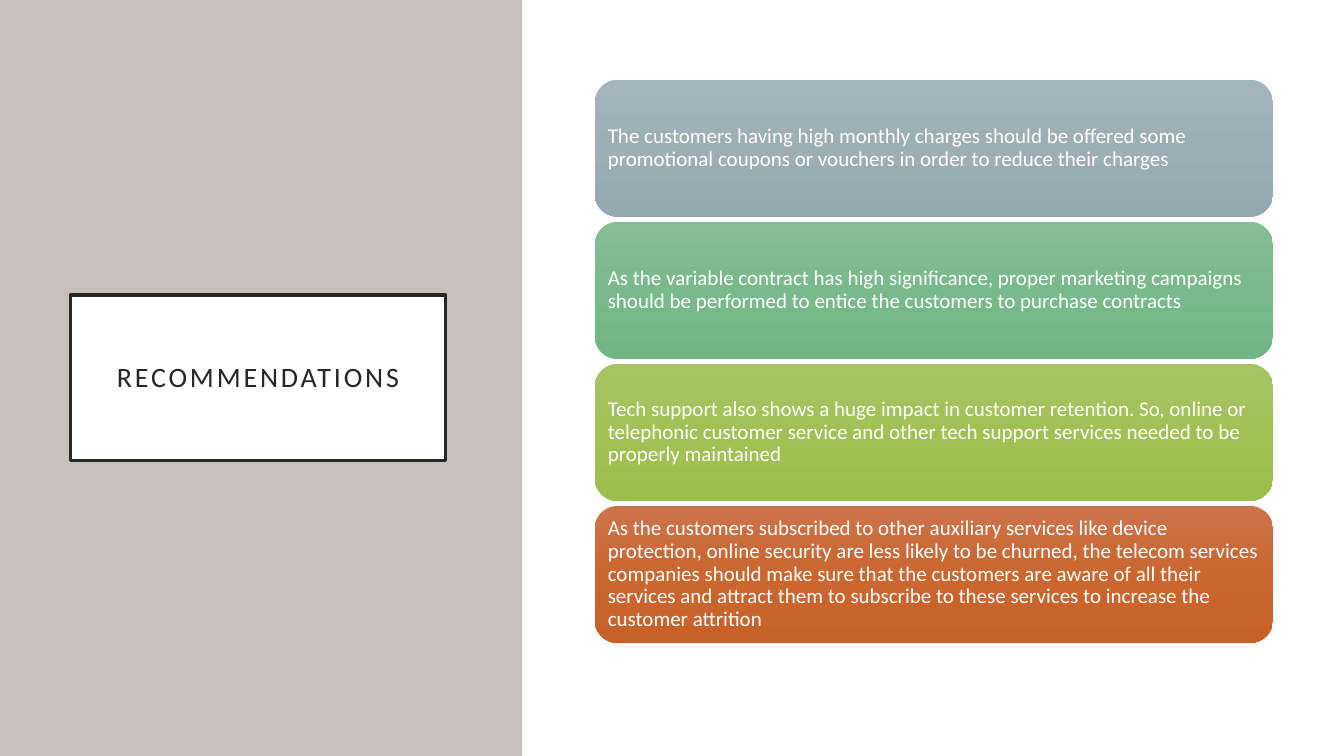
from copy import deepcopy
from dataclasses import dataclass

from pptx import Presentation
from pptx.dml.color import RGBColor
from pptx.enum.shapes import MSO_SHAPE
from pptx.enum.text import MSO_ANCHOR, PP_ALIGN
from pptx.util import Cm, Pt


@dataclass(frozen=True)
class Theme:
    """Colours, font and type sizes of the slide."""
    font: str = "Calibri"
    title_size: int = 20
    card_size: int = 15
    line_spacing: float = 0.9
    panel: str = "C6C1BA"
    white: str = "FFFFFF"
    dark: str = "262626"
    gradients: tuple = (
        ("A3B5BB", "9BAFB5", "93A9AF"),
        ("86BD95", "7AB98B", "72B584"),
        ("A5C466", "A0C255", "9BBE4D"),
        ("CC734B", "CB662F", "C86128"),
    )


@dataclass(frozen=True)
class Box:
    """A rectangle on the slide, in centimetres."""
    left: float
    top: float
    width: float
    height: float


THEME = Theme()
RECOMMENDATIONS = (
    "The customers having high monthly charges should be offered some promotional "
    "coupons or vouchers in order to reduce their charges",
    "As the variable contract has high significance, proper marketing campaigns "
    "should be performed to entice the customers to purchase contracts",
    "Tech support also shows a huge impact in customer retention. So, online or "
    "telephonic customer service and other tech support services needed to be "
    "properly maintained",
    "As the customers subscribed to other auxiliary services like device protection, "
    "online security are less likely to be churned, the telecom services companies "
    "should make sure that the customers are aware of all their services and attract "
    "them to subscribe to these services to increase the customer attrition",
)


def add_box(slide, box, kind=MSO_SHAPE.RECTANGLE, fill=None):
    """Add a shape without shadow or line, with an optional solid fill."""
    shape = slide.shapes.add_shape(
        kind, Cm(box.left), Cm(box.top), Cm(box.width), Cm(box.height))
    shape.shadow.inherit = False
    shape.line.fill.background()
    if fill:
        shape.fill.solid()
        shape.fill.fore_color.rgb = RGBColor.from_string(fill)
    return shape


def fill_gradient(shape, colours):
    """Fill a shape from top to bottom with evenly spaced colours."""
    shape.fill.gradient()
    shape.fill.gradient_angle = 270
    first = shape.fill.gradient_stops[0]
    stop_list = shape.fill._fill._gradFill.gsLst
    while len(stop_list) < len(colours):
        stop_list.append(deepcopy(stop_list[0]))
    for index, (stop, colour) in enumerate(zip(shape.fill.gradient_stops, colours)):
        stop.position = index / (len(colours) - 1)
        stop.color.rgb = RGBColor.from_string(colour)


def write_text(shape, text, *, size, colour, alignment, inset, tracking=0):
    """Write one vertically centred paragraph into a shape."""
    frame = shape.text_frame
    frame.word_wrap = True
    frame.vertical_anchor = MSO_ANCHOR.MIDDLE
    frame.margin_left = frame.margin_right = Cm(inset)
    frame.margin_top = frame.margin_bottom = Cm(inset)
    paragraph = frame.paragraphs[0]
    paragraph.alignment = alignment
    paragraph.line_spacing = THEME.line_spacing
    run = paragraph.add_run()
    run.text = text
    run.font.name = THEME.font
    run.font.size = Pt(size)
    run.font.color.rgb = RGBColor.from_string(colour)
    if tracking:
        run.font._element.set("spc", str(tracking * 100))


def add_title_panel(slide, box):
    """Draw the side panel with its framed title."""
    add_box(slide, box, fill=THEME.panel)
    frame_box = Box(box.left + 1.78, box.top + 7.44, 9.45, 4.17)
    title = add_box(slide, frame_box, fill=THEME.white)
    title.line.color.rgb = RGBColor.from_string(THEME.dark)
    title.line.width = Pt(2.5)
    write_text(title, "RECOMMENDATIONS", size=THEME.title_size, colour=THEME.dark,
               alignment=PP_ALIGN.CENTER, inset=0.5, tracking=2)


def add_cards(slide, box, gap=0.13):
    """Stack the recommendation cards evenly in the box."""
    count = len(RECOMMENDATIONS)
    height = (box.height - gap * (count - 1)) / count
    for index, (text, colours) in enumerate(zip(RECOMMENDATIONS, THEME.gradients)):
        card_box = Box(box.left, box.top + index * (height + gap), box.width, height)
        card = add_box(slide, card_box, MSO_SHAPE.ROUNDED_RECTANGLE)
        fill_gradient(card, colours)
        write_text(card, text, size=THEME.card_size, colour=THEME.white,
                   alignment=PP_ALIGN.LEFT, inset=0.16)


def main():
    """Build and save the presentation."""
    presentation = Presentation()
    presentation.slide_width = Cm(33.87)
    presentation.slide_height = Cm(19.05)
    slide = presentation.slides.add_slide(presentation.slide_layouts[6])
    add_title_panel(slide, Box(0, 0, 13.16, 19.05))
    add_cards(slide, Box(14.99, 2.01, 17.09, 14.19))
    presentation.save("out.pptx")


if __name__ == "__main__":
    main()
